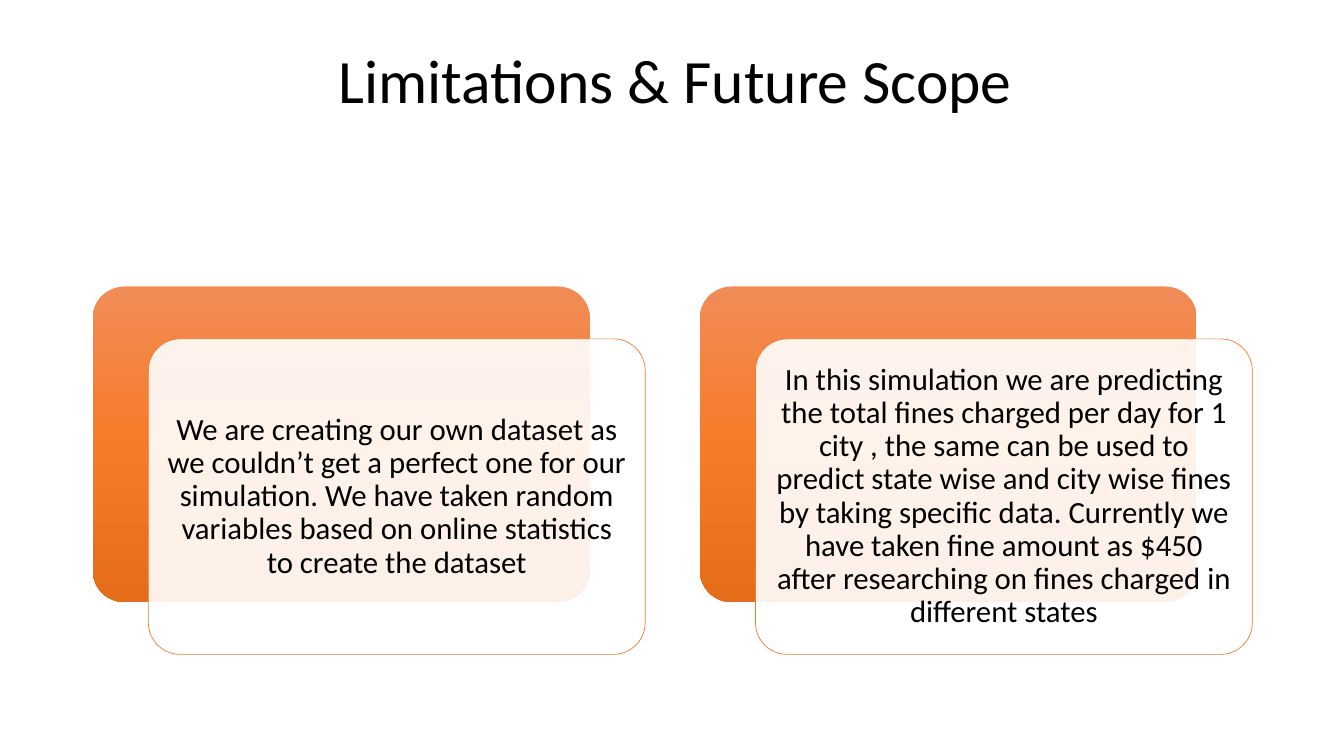
from lxml.etree import SubElement
from pptx import Presentation
from pptx.dml.color import RGBColor
from pptx.enum.shapes import MSO_SHAPE as Preset
from pptx.enum.text import MSO_ANCHOR as Anchor, PP_ALIGN as Align
from pptx.oxml.ns import qn
from pptx.util import Cm, Pt

# Content
TITLE = "Limitations & Future Scope"
CARDS = [
    "We are creating our own dataset as we couldn’t get a perfect one for our "
    "simulation. We have taken random variables based on online statistics to "
    "create the dataset",
    "In this simulation we are predicting the total fines charged per day for 1 "
    "city , the same can be used to predict state wise and city wise fines by "
    "taking specific data. Currently we have taken fine amount as $450 after "
    "researching on fines charged in different states",
]

# Style
FONT = "Calibri"
COLORS = {"text": "000000", "panel": "FFFFFF", "outline": "ED7D31"}
GRADIENT = [(0, "F18C57"), (50, "F67B28"), (100, "E56C19")]
PANEL_OPACITY = 90

# Layout in centimetres
CARD_LEFT, CARD_TOP, CARD_PITCH = 2.34, 7.22, 15.3
CARD_SIZE = CARD_WIDTH, CARD_HEIGHT = 12.52, 7.95
PANEL_SHIFT_X, PANEL_SHIFT_Y = 1.4, 1.32
MARGIN = 0.23


def add_card_shape(page, left, top):
    shape = page.shapes.add_shape(
        Preset.ROUNDED_RECTANGLE, *map(Cm, (left, top, *CARD_SIZE)))
    shape.adjustments[0] = 0.1
    shape.shadow.inherit = False
    return shape


def fill_gradient(shape):
    shape.fill.gradient()
    shape.fill.gradient_angle = 270
    stops = shape._element.spPr.find(".//" + qn("a:gsLst"))
    for stop in list(stops):
        stops.remove(stop)
    for percent, color in GRADIENT:
        stop = SubElement(stops, qn("a:gs"), pos=str(percent * 1000))
        SubElement(stop, qn("a:srgbClr"), val=color)


def fill_panel(shape):
    shape.fill.solid()
    shape.fill.fore_color.rgb = RGBColor.from_string(COLORS["panel"])
    color = shape._element.spPr.find(qn("a:solidFill")).find(qn("a:srgbClr"))
    SubElement(color, qn("a:alpha"), val=str(PANEL_OPACITY * 1000))
    shape.line.color.rgb = RGBColor.from_string(COLORS["outline"])
    shape.line.width = Pt(0.5)


def add_text(page, text, size, left, top, width, height):
    box = page.shapes.add_textbox(*map(Cm, (left, top, width, height)))
    frame = box.text_frame
    frame.word_wrap = True
    frame.vertical_anchor = Anchor.MIDDLE
    frame.margin_left = frame.margin_right = Cm(MARGIN)
    frame.margin_top = frame.margin_bottom = Cm(MARGIN)
    para = frame.paragraphs[0]
    para.alignment = Align.CENTER
    para.line_spacing = 0.9
    span = para.add_run()
    span.text = text
    span.font.name = FONT
    span.font.size = Pt(size)
    span.font.color.rgb = RGBColor.from_string(COLORS["text"])


deck = Presentation()
deck.slide_width, deck.slide_height = Cm(33.87), Cm(19.05)
page = deck.slides.add_slide(deck.slide_layouts[6])

# Title
add_text(page, TITLE, 44, 2.51, 1.12, 29.03, 1.98)

# Cards: a gradient back, a translucent panel shifted over it, and the text
for index, text in enumerate(CARDS):
    left = CARD_LEFT + index * CARD_PITCH
    back = add_card_shape(page, left, CARD_TOP)
    fill_gradient(back)
    back.line.fill.background()

    panel_left, panel_top = left + PANEL_SHIFT_X, CARD_TOP + PANEL_SHIFT_Y
    fill_panel(add_card_shape(page, panel_left, panel_top))
    add_text(page, text, 22, panel_left + MARGIN, panel_top + MARGIN,
             CARD_WIDTH - 2 * MARGIN, CARD_HEIGHT - 2 * MARGIN)

deck.save("out.pptx")
